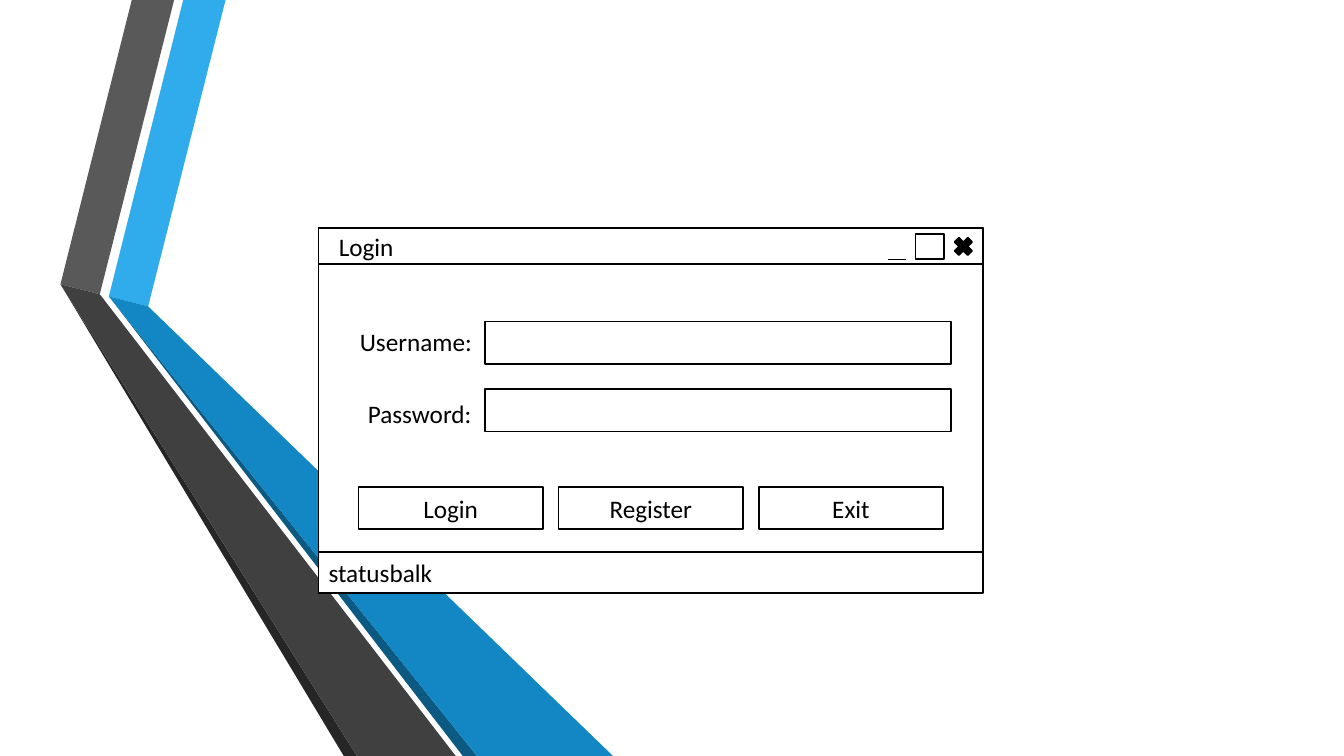
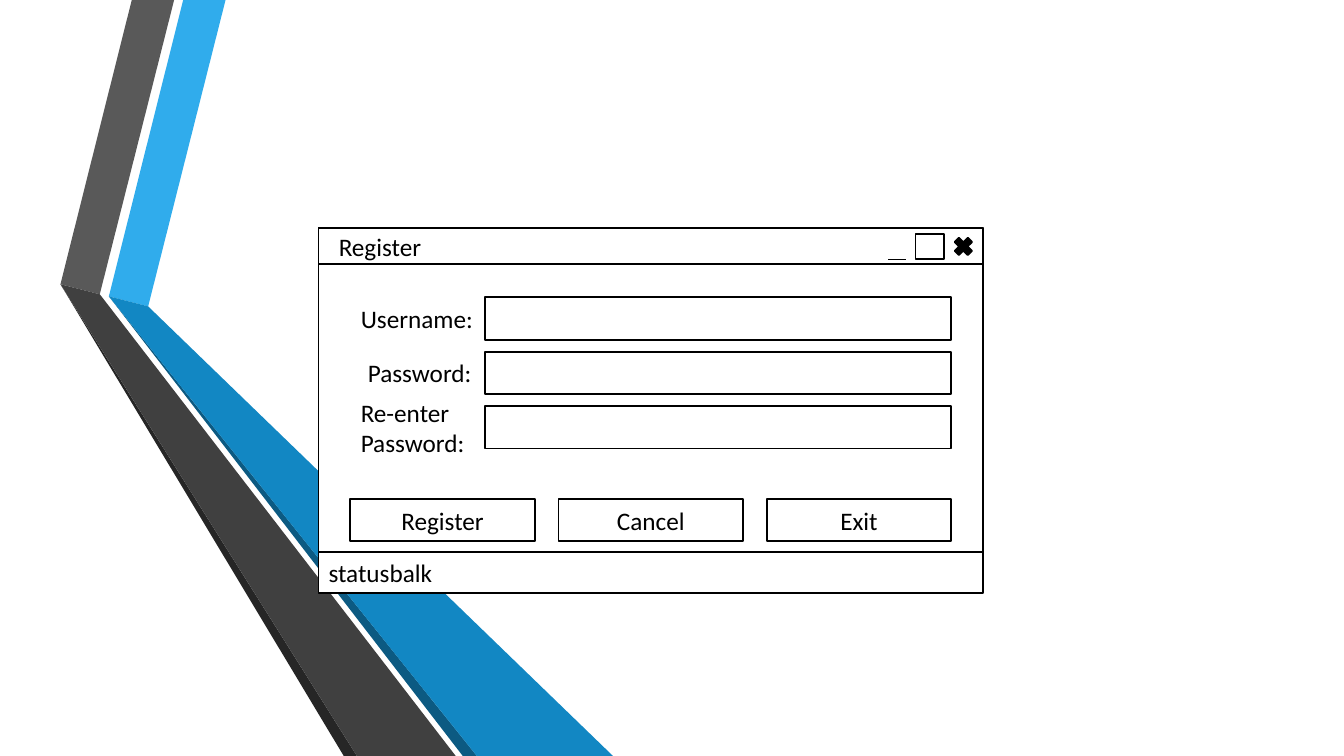
from lxml import etree
from pptx import Presentation
from pptx import util as u
from pptx.dml.color import RGBColor
from pptx.enum import shapes, text
from pptx.oxml import ns

COLORS = {
    "black": "000000", "white": "FFFFFF",
    "sky": "30ACEC", "blue": "1287C3", "navy": "0C5A82",
    "gray": "595959", "charcoal": "404040", "shadow": "262626",
}
FONT = {"name": "Calibri", "size": u.Pt(18), "bold": False}
FRAME = {
    "word_wrap": True, "auto_size": text.MSO_AUTO_SIZE.NONE,
    "margin_left": u.Inches(0.1), "margin_right": u.Inches(0.1),
    "margin_top": u.Inches(0.05), "margin_bottom": u.Inches(0.05),
}
CELL = u.Inches(0.1)
WINDOW = (31.6, 22.6, 65.9, 36.2)
BAR_H, STATUS_H = 3.6, 4
FIELD_X, FIELD_W, FIELD_H = 16.5, 46.2, 4.2
BUTTON_W, BUTTON_H = 18.3, 4.2
RIBBONS = [
    ("sky", [(10.8, 29.4), (14.7, 30.4), (22.4, -0.1), (18.2, -0.1)]),
    ("gray", [(9.9, 29.2), (17.3, -0.1), (13.1, -0.1), (6, 28.2)]),
    ("shadow", [(6, 28.2), (34.1, 75), (35.4, 75)]),
    ("navy", [(47.3, 75), (10.8, 29.4), (45.9, 75)]),
    ("blue", [(10.8, 29.4), (47.3, 75), (60.8, 75), (14.7, 30.4)]),
    ("charcoal", [(45.2, 75), (10.6, 30.1), (9.9, 29.2), (6, 28.2), (35.4, 75)]),
]
SCREENS = [
    {
        "title": "Login", "field_y": 9.3, "field_step": 6.7,
        "labels": [("Username:", 3.1, 0), ("Password:", 3.9, 0.4)],
        "buttons": ["Login", "Register", "Exit"],
        "button_y": 25.7, "button_step": 19.85,
    },
    {
        "title": "Register", "field_y": 6.9, "field_step": 5.4,
        "labels": [("Username:", 3.2, 0.1), ("Password:", 3.9, 0.1),
                   ("Re-enter\nPassword:", 3.2, -1.4)],
        "buttons": ["Register", "Cancel", "Exit"],
        "button_y": 26.9, "button_step": 20.65,
    },
]


def rgb(name):
    return RGBColor.from_string(COLORS[name])


def cells(*values):
    return [u.Emu(round(v * CELL)) for v in values]


def within(box, x, y, w, h):
    return cells(box[0] + x, box[1] + y, w, h)


def write(sp, words, align, anchor):
    tf = sp.text_frame
    for key, value in {**FRAME, "vertical_anchor": anchor}.items():
        setattr(tf, key, value)
    p = tf.paragraphs[0]
    p.text, p.alignment = words, align
    for r in p.runs:
        for key, value in FONT.items():
            setattr(r.font, key, value)
        r.font.color.rgb = rgb("black")


def paint(sp, fill):
    sp.shadow.inherit = False
    sp.fill.solid()
    sp.fill.fore_color.rgb = rgb(fill)


def panel(s, place, fill="white", kind="RECTANGLE", words="", align="CENTER"):
    sp = s.shapes.add_shape(getattr(shapes.MSO_SHAPE, kind), *place)
    paint(sp, fill)
    sp.line.color.rgb = rgb("black")
    sp.line.width = u.Pt(1.25)
    if words:
        write(sp, words, getattr(text.PP_ALIGN, align), text.MSO_ANCHOR.MIDDLE)


def rule(s, box, x, y, w):
    left, top, width, _ = within(box, x, y, w, 0)
    ln = s.shapes.add_connector(shapes.MSO_CONNECTOR.STRAIGHT,
                                left, top, left + width, top)
    ln.line.color.rgb = rgb("black")
    ln.line.width = u.Pt(0.75)
    etree.SubElement(ln.element.spPr, ns.qn("a:effectLst"))


def master_ribbons(prs, s):
    tree = prs.slide_master.shapes.element
    for i, (color, points) in enumerate(RIBBONS):
        start, *rest = [cells(*point) for point in points]
        builder = s.shapes.build_freeform(*start)
        builder.add_line_segments(rest, close=True)
        sp = builder.convert_to_shape()
        paint(sp, color)
        sp.line.fill.background()
        sp.element.nvSpPr.cNvPr.set("id", str(20 + i))
        tree.insert(2 + i, sp.element)


def title_bar(s, box, title):
    panel(s, within(box, 0, 0, box[2], BAR_H))
    panel(s, within(box, 62.7, 0.6, 2.5, 2.5), "black", "MATH_MULTIPLY")
    panel(s, within(box, 59.2, 0.6, 2.8, 2.5))
    rule(s, box, 59.2, 0.7, 2.8)
    rule(s, box, 56.5, 3.1, 1.8)
    sp = s.shapes.title
    sp.left, sp.top, sp.width, sp.height = within(box, 1, -0.2, 20.9, 4)
    write(sp, title, text.PP_ALIGN.LEFT, text.MSO_ANCHOR.TOP)
    s.shapes.element.append(sp.element)


def form(s, box, screen):
    for i, (label, x, dy) in enumerate(screen["labels"]):
        y = screen["field_y"] + i * screen["field_step"]
        panel(s, within(box, FIELD_X, y, FIELD_W, FIELD_H))
        height = 4 + 3.1 * label.count("\n")
        sp = s.shapes.add_textbox(*within(box, x, y + dy, 14, height))
        write(sp, label, text.PP_ALIGN.LEFT, text.MSO_ANCHOR.TOP)


def button_row(s, box, screen):
    middle = (box[2] - BUTTON_W) / 2
    for i, words in enumerate(screen["buttons"]):
        x = middle + (i - 1) * screen["button_step"]
        panel(s, within(box, x, screen["button_y"], BUTTON_W, BUTTON_H), words=words)


def window(s, box, screen):
    panel(s, cells(*box))
    title_bar(s, box, screen["title"])
    form(s, box, screen)
    button_row(s, box, screen)
    panel(s, within(box, 0, box[3] - STATUS_H, box[2], STATUS_H),
          words="statusbalk", align="LEFT")


def main():
    prs = Presentation()
    prs.slide_width, prs.slide_height = u.Inches(13.33), u.Inches(7.5)
    for i, screen in enumerate(SCREENS):
        s = prs.slides.add_slide(prs.slide_layouts.get_by_name("Title Only"))
        if i == 0:
            master_ribbons(prs, s)
        window(s, WINDOW, screen)
    prs.save("out.pptx")


if __name__ == "__main__":
    main()
